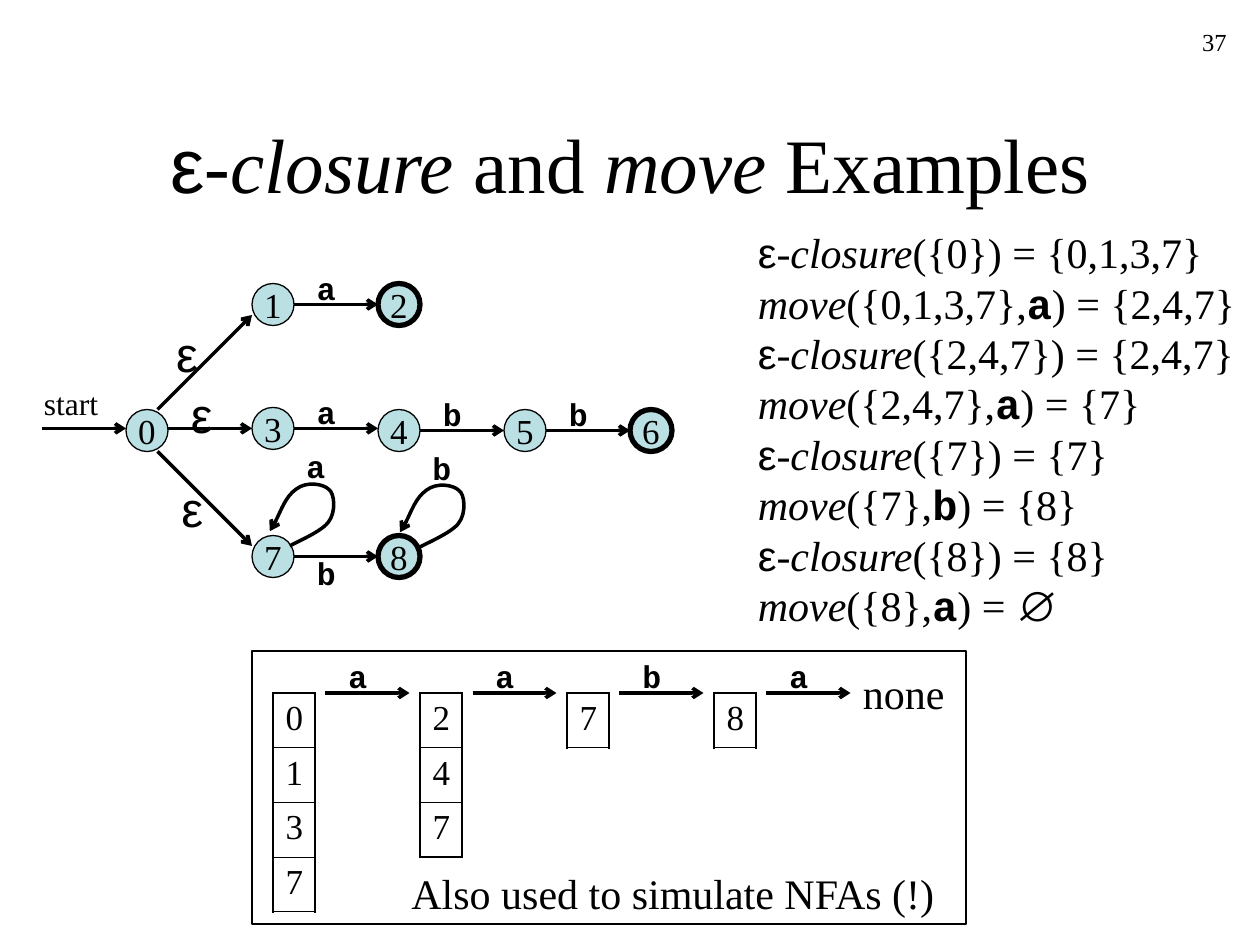
import pptx
import pptx.util
import pptx.dml.color
import pptx.enum.shapes
import pptx.enum.text
import pptx.oxml.ns
import lxml.etree

PX = 7620
BLACK = pptx.dml.color.RGBColor(0, 0, 0)
TEAL = pptx.dml.color.RGBColor(0xBB, 0xE0, 0xE3)
SERIF, SANS, MONO = "Times New Roman", "Arial", "Courier New"
SHAPE = pptx.enum.shapes.MSO_SHAPE
ALIGN = pptx.enum.text.PP_ALIGN
ANCHOR = pptx.enum.text.MSO_ANCHOR
qn = pptx.oxml.ns.qn
Pt = pptx.util.Pt

CURVE = [(0, 0), (7, -4), (31, -14), (37, -23), (44, -32), (43, -50), (37, -54),
         (32, -59), (16, -62), (6, -54), (-4, -47), (-13, -22), (-19, -14)]


def px(*sizes):
    return [size * PX for size in sizes]


def put(para, text, size, face=SERIF, bold=False, slant=False):
    run = para.add_run()
    run.text = text
    font = run.font
    font.size, font.name = Pt(size), face
    font.bold, font.italic = bold, slant
    font.color.rgb = BLACK


def add_box(slide, x, y, w, h, wrap=False, align=ALIGN.LEFT):
    frame = slide.shapes.add_textbox(*px(x, y, w, h)).text_frame
    frame.word_wrap = wrap
    frame.paragraphs[0].alignment = align
    return frame


def add_label(slide, text, x, y, w=42, h=48, size=18, face=MONO, bold=True):
    put(add_box(slide, x, y, w, h).paragraphs[0], text, size, face, bold)


def add_tip(line):
    end = lxml.etree.SubElement(line.line._get_or_add_ln(), qn("a:tailEnd"))
    end.set("type", "arrow")


def add_arrow(slide, x1, y1, x2, y2):
    kind = pptx.enum.shapes.MSO_CONNECTOR.STRAIGHT
    line = slide.shapes.add_connector(kind, *px(x1, y1, x2, y2))
    line.line.color.rgb = BLACK
    line.line.width = Pt(2)
    add_tip(line)
    lxml.etree.SubElement(line._element.spPr, qn("a:effectLst"))


def add_loop(slide, x, y):
    spots = [(x + dx, y + dy) for dx, dy in CURVE]
    pen = slide.shapes.build_freeform(*spots[0], scale=PX)
    pen.add_line_segments(spots[1:], close=False)
    loop = pen.convert_to_shape()
    loop.shadow.inherit = False
    loop.fill.background()
    loop.line.color.rgb = BLACK
    loop.line.width = Pt(2)
    add_tip(loop)
    legs = list(loop._element.iter(qn("a:lnTo")))
    for i in range(0, len(legs), 3):
        bend = lxml.etree.Element(qn("a:cubicBezTo"))
        legs[i].addprevious(bend)
        for leg in legs[i:i + 3]:
            bend.append(leg[0])
            leg.getparent().remove(leg)


def add_node(slide, name, x, y, final):
    node = slide.shapes.add_shape(SHAPE.OVAL, *px(x, y, 40, 40))
    node.shadow.inherit = False
    node.fill.solid()
    node.fill.fore_color.rgb = TEAL
    node.line.color.rgb = BLACK
    node.line.width = Pt(3 if final else 0.75)
    frame = node.text_frame
    frame.word_wrap = False
    frame.vertical_anchor = ANCHOR.MIDDLE
    frame.paragraphs[0].alignment = ALIGN.CENTER
    put(frame.paragraphs[0], name, 20)


def add_graph(slide, left, top):
    nodes = [(90, 140), (210, 20), (330, 20), (210, 138), (330, 140),
             (450, 140), (570, 140), (210, 260), (330, 260)]
    arrows = [(250, 40, 330, 40), (250, 158, 330, 158), (130, 158, 210, 158),
              (370, 160, 450, 160), (490, 160, 570, 160), (250, 280, 330, 280),
              (120, 140, 210, 50), (120, 180, 210, 270), (10, 158, 90, 158)]
    labels = [("a", 260, 0), ("a", 260, 118), ("b", 380, 120), ("b", 500, 120),
              ("b", 260, 272), ("a", 250, 170), ("b", 370, 172)]
    for i, (x, y) in enumerate(nodes):
        add_node(slide, str(i), left + x, top + y, i in (2, 6, 8))
    for x1, y1, x2, y2 in arrows:
        add_arrow(slide, left + x1, top + y1, left + x2, top + y2)
    for x, y in [(246, 270), (370, 271)]:
        add_loop(slide, left + x, top + y)
    for text, x, y in labels:
        add_label(slide, text, left + x, top + y)
    add_label(slide, "start", left, top + 110, 76, 48, 18, SERIF, False)
    for x, y in [(131, 200), (140, 110), (126, 52)]:
        add_label(slide, "ε", left + x, top + y, 44, 68, 28, SANS, False)


def add_sums(slide, x, y, w, h):
    steps = [("0,1,3,7", "a"), ("2,4,7", "a"), ("7", "b"), ("8", "a")]
    para = add_box(slide, x, y, w, h).paragraphs[0]
    start = "0"
    for i, (group, key) in enumerate(steps):
        if i:
            para.add_line_break()
        put(para, "ε", 24, SANS)
        put(para, "-closure", 24, slant=True)
        put(para, f"({{{start}}}) = {{{group}}}", 24)
        para.add_line_break()
        put(para, "move", 24, slant=True)
        put(para, f"({{{group}}},", 24)
        put(para, key, 24, MONO, bold=True)
        if i + 1 < len(steps):
            start = steps[i + 1][0]
            put(para, f") = {{{start}}}", 24)
        else:
            put(para, ") = ", 24)
            put(para, "∅", 24, SANS)
    for gap in para._p.findall(qn("a:br")):
        mark = lxml.etree.SubElement(gap, qn("a:rPr"))
        mark.set("sz", "2400")


def add_edge(cell, side, width):
    edge = lxml.etree.Element(qn("a:" + side), w=str(Pt(width)))
    fill = lxml.etree.SubElement(edge, qn("a:solidFill"))
    lxml.etree.SubElement(fill, qn("a:srgbClr"), val=str(BLACK))
    return edge


def add_stack(slide, items, x, y):
    count = len(items)
    table = slide.shapes.add_table(count, 1, *px(x, y, 40, 52 * count)).table
    table.first_row = table.horz_banding = False
    for i, item in enumerate(items):
        table.rows[i].height = 52 * PX
        cell = table.cell(i, 0)
        cell.fill.background()
        para = cell.text_frame.paragraphs[0]
        para.space_before = Pt(5)
        put(para, item, 20)
        props = cell._tc.get_or_add_tcPr()
        widths = {"lnL": 1.08, "lnR": 1.08, "lnT": 0.45 if i else 1.08,
                  "lnB": 0.45 if i + 1 < count else 1.08}
        for spot, (side, width) in enumerate(widths.items()):
            props.insert(spot, add_edge(cell, side, width))


def add_trace(slide, x, y, w, h):
    for i, (items, key) in enumerate(zip(["0137", "247", "7", "8"], "aaba")):
        left = x + 20 + 140 * i
        add_stack(slide, items, left, y + 40)
        add_label(slide, key, left + 60, y)
        add_arrow(slide, left + 50, y + 40, left + 130, y + 40)
    add_label(slide, "none", x + 570, y + 10, 102, 60, 24, SERIF, False)
    note = add_box(slide, x + 140, y + 200, 540, 60, wrap=True)
    put(note.paragraphs[0], "Also used to simulate NFAs (!)", 24)
    frame = slide.shapes.add_shape(SHAPE.RECTANGLE, *px(x, y, w, h))
    frame.shadow.inherit = False
    frame.fill.background()
    frame.line.color.rgb = BLACK
    frame.line.width = Pt(0.75)


def add_head(slide, x, y, w, h):
    frame = add_box(slide, x, y, w, h, True, ALIGN.CENTER)
    frame.vertical_anchor = ANCHOR.MIDDLE
    para = frame.paragraphs[0]
    put(para, "ε", 44, SANS)
    for text, slant in [("-closure", True), (" and ", False),
                        ("move", True), (" Examples", False)]:
        put(para, text, 44, slant=slant)


def main():
    deck = pptx.Presentation()
    deck.slide_width, deck.slide_height = px(1200, 900)
    slide = deck.slides.add_slide(deck.slide_layouts[6])
    put(add_box(slide, 930, 20, 250, 60, True, ALIGN.RIGHT).paragraphs[0], "37", 14)
    add_head(slide, 90, 80, 1020, 150)
    add_graph(slide, 30, 250)
    add_sums(slide, 710, 210, 478, 396)
    add_trace(slide, 240, 620, 680, 260)
    deck.save("out.pptx")


if __name__ == "__main__":
    main()
